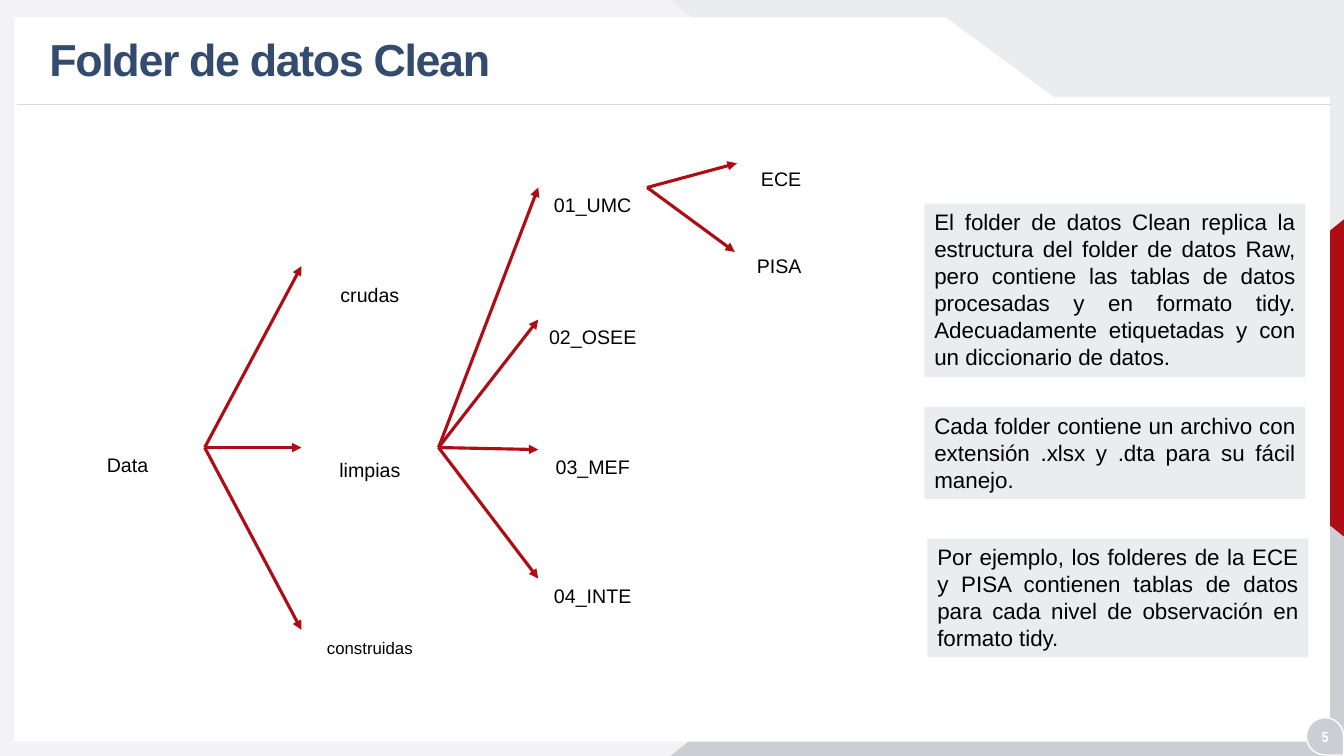
from dataclasses import dataclass

from lxml.etree import SubElement
from pptx import Presentation
from pptx.dml.color import RGBColor
from pptx.enum.shapes import MSO_CONNECTOR as Connector, MSO_SHAPE as Preset
from pptx.enum.text import MSO_ANCHOR as Anchor, MSO_AUTO_SIZE as AutoSize, PP_ALIGN as Align
from pptx.oxml.ns import qn
from pptx.util import Inches, Pt

COLORS = {
    "pale": "F3F3F5", "light": "EBECEE", "gray": "CDCED3", "rule": "D9D9D9",
    "red": "AF0D15", "white": "FFFFFF", "navy": "324B6E", "black": "000000",
}
SLIDE_WIDTH, SLIDE_HEIGHT = Inches(13.333), Inches(7.5)


# All positions are percentages of the slide's width and height.
@dataclass(frozen=True)
class Point:
    x: float
    y: float


@dataclass(frozen=True)
class Box:
    left: float
    top: float
    width: float
    height: float


@dataclass(frozen=True)
class Decoration:
    preset: Preset
    box: Box
    color: str
    rotation: int = 0
    apex: float | None = None
    flipped: bool = False
    outlined: bool = False


@dataclass(frozen=True)
class Folder:
    label: str
    left: float
    top: float
    tip: Point
    size: float = 14


@dataclass(frozen=True)
class Branch:
    start: Point
    folders: tuple[Folder, ...]


@dataclass(frozen=True)
class Note:
    text: str
    box: Box


BACKDROP = (
    Decoration(Preset.RECTANGLE, Box(0, 0, 100, 100), "pale"),
    Decoration(Preset.ISOSCELES_TRIANGLE, Box(49.88, 0, 50.12, 70.8), "light", apex=1, flipped=True),
    Decoration(Preset.ISOSCELES_TRIANGLE, Box(49.88, 29.2, 50.12, 70.8), "gray", apex=1),
    Decoration(Preset.ISOSCELES_TRIANGLE, Box(80.85, 36.93, 23.63, 26.13), "red", 270),
)
NUMBER_BADGE = Decoration(Preset.TEAR, Box(97.2, 94.93, 2.78, 4.93), "gray", 90, outlined=True)
PANEL = (Point(1.12, 2.4), Point(70.35, 2.4), Point(78.37, 12.93),
         Point(98.9, 12.93), Point(98.9, 98), Point(1.12, 98))

LABEL_WIDTH, LABEL_HEIGHT = 8.55, 4.53
AXIS = 59.2
STAGES = tuple(
    Folder(label, 23.25, top, Point(22.43, tip), size)
    for label, top, tip, size in (
        ("crudas", 36.8, 35.2, 14), ("limpias", 59.87, AXIS, 14), ("construidas", 83.73, 83.33, 12))
)
SOURCES = tuple(
    Folder(label, 39.83, top, Point(40.05, top))
    for label, top in (("01_UMC", 24.8), ("02_OSEE", 42.27), ("03_MEF", 59.47), ("04_INTE", 76.53))
)
TESTS = (Folder("ECE", 53.85, 21.47, Point(54.83, 21.6)),
         Folder("PISA", 53.7, 32.93, Point(54.68, 33.33)))
BRANCHES = (Branch(Point(15.23, AXIS), STAGES), Branch(Point(32.63, AXIS), SOURCES),
            Branch(Point(48.15, SOURCES[0].top), TESTS))
NOTES = (
    Note("El folder de datos Clean replica la estructura del folder de datos Raw, pero contiene "
         "las tablas de datos procesadas y en formato tidy. Adecuadamente etiquetadas y con un "
         "diccionario de datos.", Box(68.78, 26.93, 28.35, 22.93)),
    Note("Cada folder contiene un archivo con extensión .xlsx y .dta para su fácil manejo.",
         Box(68.78, 53.87, 28.35, 12.13)),
    Note("Por ejemplo, los folderes de la ECE y PISA contienen tablas de datos para cada nivel "
         "de observación en formato tidy.", Box(69, 71.2, 28.35, 15.73)),
)


def across(share: float) -> int:
    return round(SLIDE_WIDTH * share / 100)


def down(share: float) -> int:
    return round(SLIDE_HEIGHT * share / 100)


def frame(box: Box) -> tuple[int, int, int, int]:
    return across(box.left), down(box.top), across(box.width), down(box.height)


def rgb(name: str) -> RGBColor:
    return RGBColor.from_string(COLORS[name])


def paint(shape, color: str, outlined: bool = False) -> None:
    shape.shadow.inherit = False
    shape.fill.solid()
    shape.fill.fore_color.rgb = rgb(color)
    if outlined:
        shape.line.color.rgb = rgb("white")
        shape.line.width = Pt(1)
    else:
        shape.line.fill.background()


def write(shape, text: str, *, size: float = 14, color: str = "black", bold: bool = False,
          font_name: str = "Arial", align: Align = Align.CENTER, anchor: Anchor = Anchor.TOP,
          line_spacing: float = 1.0, tracking: int = 0) -> None:
    """Fill a shape with one formatted paragraph; tracking is in hundredths of a point."""
    text_frame = shape.text_frame
    text_frame.word_wrap = True
    text_frame.auto_size = AutoSize.NONE
    text_frame.vertical_anchor = anchor
    paragraph = text_frame.paragraphs[0]
    paragraph.alignment = align
    paragraph.line_spacing = line_spacing
    run = paragraph.add_run()
    run.text = text
    run.font.name, run.font.size, run.font.bold = font_name, Pt(size), bold
    run.font.color.rgb = rgb(color)
    if tracking:
        run.font._element.set("spc", str(tracking))


def decorate(slide, item: Decoration) -> None:
    shape = slide.shapes.add_shape(item.preset, *frame(item.box))
    shape.rotation = item.rotation
    if item.apex is not None:
        shape.adjustments[0] = item.apex
    if item.flipped:
        shape.element.spPr.find(qn("a:xfrm")).set("flipV", "1")
    paint(shape, item.color, item.outlined)


def draw_panel(slide) -> None:
    first, *others = [(across(point.x), down(point.y)) for point in PANEL]
    builder = slide.shapes.build_freeform(*first)
    builder.add_line_segments(others, close=True)
    paint(builder.convert_to_shape(), "white", outlined=True)


def connect(slide, start: Point, end: Point, color: str, width: float, arrow: bool = False) -> None:
    line = slide.shapes.add_connector(
        Connector.STRAIGHT, across(start.x), down(start.y), across(end.x), down(end.y))
    line.line.color.rgb = rgb(color)
    line.line.width = Pt(width)
    if arrow:
        SubElement(line.line._get_or_add_ln(), qn("a:tailEnd"), type="triangle")
    SubElement(line.element.spPr, qn("a:effectLst"))


def add_label(slide, text: str, box: Box, **text_format) -> None:
    write(slide.shapes.add_textbox(*frame(box)), text, **text_format)


def draw_branch(slide, branch: Branch) -> None:
    for folder in branch.folders:
        add_label(slide, folder.label, Box(folder.left, folder.top, LABEL_WIDTH, LABEL_HEIGHT),
                  size=folder.size)
        connect(slide, branch.start, folder.tip, "red", 2.25, arrow=True)


def draw_note(slide, note: Note) -> None:
    shape = slide.shapes.add_shape(Preset.RECTANGLE, *frame(note.box))
    paint(shape, "light")
    write(shape, note.text, size=16, align=Align.JUSTIFY)


def main() -> None:
    presentation = Presentation()
    presentation.slide_width, presentation.slide_height = SLIDE_WIDTH, SLIDE_HEIGHT
    slide = presentation.slides.add_slide(presentation.slide_layouts[5])

    for item in BACKDROP:
        decorate(slide, item)
    draw_panel(slide)
    connect(slide, Point(99, 13.87), Point(1.28, 13.87), "rule", 0.5)
    decorate(slide, NUMBER_BADGE)

    title = slide.shapes.title
    title.left, title.top, title.width, title.height = frame(Box(2.93, 2.93, 72.45, 10.53))
    write(title, "Folder de datos Clean", size=32, color="navy", bold=True, align=Align.LEFT,
          anchor=Anchor.MIDDLE, line_spacing=0.9, tracking=-100)
    title.element.getparent().append(title.element)  # bring in front of the panel

    add_label(slide, "5", Box(96.83, 95.6, 3.53, 3.73), size=10.5, color="white", bold=True,
              font_name="Arial Narrow", anchor=Anchor.MIDDLE)
    add_label(slide, "Data", Box(5.4, AXIS, 8.18, LABEL_HEIGHT))
    for branch in BRANCHES:
        draw_branch(slide, branch)
    for note in NOTES:
        draw_note(slide, note)
    presentation.save("out.pptx")


if __name__ == "__main__":
    main()
